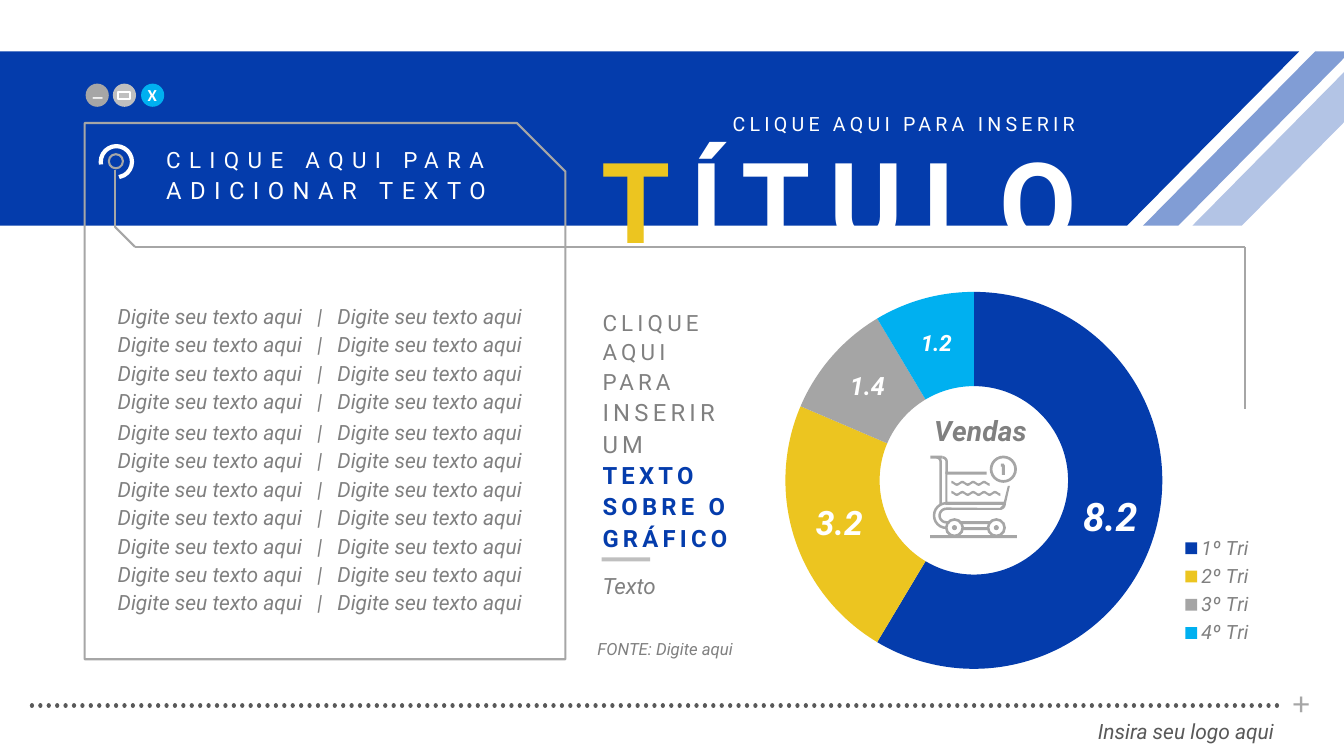
from dataclasses import dataclass, replace
from math import cos, pi, radians, sin

from lxml import etree
from pptx import Presentation
from pptx.chart.data import CategoryChartData
from pptx.dml.color import RGBColor
from pptx.enum.chart import XL_CHART_TYPE, XL_LEGEND_POSITION
from pptx.enum.dml import MSO_LINE
from pptx.enum.shapes import MSO_CONNECTOR, MSO_SHAPE
from pptx.enum.text import MSO_AUTO_SIZE, PP_ALIGN
from pptx.oxml.ns import qn
from pptx.util import Cm, Length, Pt

RECT, OVAL, DONUT = MSO_SHAPE.RECTANGLE, MSO_SHAPE.OVAL, MSO_SHAPE.DONUT
SLANT, ARC, SNIP = MSO_SHAPE.PARALLELOGRAM, MSO_SHAPE.ARC, MSO_SHAPE.SNIP_ROUND_RECTANGLE
STRAIGHT, DOTS = MSO_CONNECTOR.STRAIGHT, MSO_LINE.ROUND_DOT
LEFT, CENTER, RIGHT = PP_ALIGN.LEFT, PP_ALIGN.CENTER, PP_ALIGN.RIGHT

BLUE = RGBColor(0x04, 0x3C, 0xAC)
YELLOW = RGBColor(0xEC, 0xC5, 0x20)
CYAN = RGBColor(0x00, 0xB0, 0xF0)
WHITE = RGBColor(0xFF, 0xFF, 0xFF)
BLACK = RGBColor(0x00, 0x00, 0x00)
SILVER = RGBColor(0xBF, 0xBF, 0xBF)
GREY = RGBColor(0xA6, 0xA6, 0xA6)
SLICE_GREY = RGBColor(0xA5, 0xA5, 0xA5)
TEXT_GREY = RGBColor(0x80, 0x80, 0x80)
DARK = RGBColor(0x59, 0x59, 0x59)

Point = tuple[float, float]
Frame = tuple[float, float, float, float]


@dataclass(frozen=True)
class Style:
    size: float
    color: RGBColor
    bold: bool = False
    italic: bool = False
    tracking: int = 0
    face: str = "Roboto"


@dataclass(frozen=True)
class Span:
    text: str
    style: Style


@dataclass(frozen=True)
class Label:
    frame: Frame
    lines: list[list[Span]]
    align: PP_ALIGN = LEFT
    leading: float = 1.0
    gap: float = 0
    wrap: bool = True
    tabs: tuple[float, ...] = ()


@dataclass(frozen=True)
class Slice:
    name: str
    value: float
    color: RGBColor
    label_size: int


def inch(value: float) -> Length:
    return Cm(value * 2.54)


def apply_style(font, style: Style) -> None:
    font.name, font.size = style.face, Pt(style.size)
    font.bold, font.italic = style.bold, style.italic
    font.color.rgb = style.color
    if style.tracking:
        font._rPr.set("spc", str(style.tracking * 100))


def add_label(shapes, label: Label) -> None:
    box = shapes.add_textbox(*map(inch, label.frame))
    frame = box.text_frame
    frame.word_wrap = label.wrap
    frame.auto_size = MSO_AUTO_SIZE.SHAPE_TO_FIT_TEXT
    for index, spans in enumerate(label.lines):
        para = frame.add_paragraph() if index else frame.paragraphs[0]
        para.alignment, para.line_spacing = label.align, label.leading
        para.space_before = para.space_after = Pt(label.gap)
        if label.tabs:
            stops = etree.SubElement(para._p.get_or_add_pPr(), qn("a:tabLst"))
            for stop in label.tabs:
                etree.SubElement(stops, qn("a:tab"), pos=str(inch(stop)), algn="l")
        if len(spans) == 1:
            apply_style(para.font, spans[0].style)
        for span in spans:
            run = para.add_run()
            run.text = span.text.rstrip("\n")
            if len(spans) > 1:
                apply_style(run.font, span.style)
            if span.text.endswith("\n"):
                para.add_line_break()


def paint(shape, fill: RGBColor | None, line: RGBColor | None = None, width: float = 1.5):
    shape.shadow.inherit = False
    if fill is None:
        shape.fill.background()
    else:
        shape.fill.solid()
        shape.fill.fore_color.rgb = fill
    if line is None:
        shape.line.fill.background()
    else:
        shape.line.color.rgb, shape.line.width = line, Pt(width)
    return shape


def add_form(shapes, kind, frame: Frame, fill=None, line=None, width=1.5, adjust=()):
    shape = shapes.add_shape(kind, *map(inch, frame))
    for index, value in enumerate(adjust):
        shape.adjustments[index] = value
    return paint(shape, fill, line, width)


def add_outline(shapes, points: list[Point], fill: RGBColor) -> None:
    corners = [(inch(x), inch(y)) for x, y in points]
    builder = shapes.build_freeform(*corners[0])
    builder.add_line_segments(corners[1:], close=True)
    paint(builder.convert_to_shape(), fill)


def add_rule(shapes, start: Point, end: Point, color: RGBColor, width: float = 1.5):
    rule = shapes.add_connector(STRAIGHT, *map(inch, start + end))
    rule.line.color.rgb, rule.line.width = color, Pt(width)
    etree.SubElement(rule._element.spPr, qn("a:effectLst"))
    return rule


def bend(x: float, y: float, radius: float, start: int, end: int) -> list[Point]:
    angles = [radians(start + (end - start) * step / 12) for step in range(13)]
    return [(x + radius * cos(a), y + radius * sin(a)) for a in angles]


def wave(left: float, top: float, periods: float) -> list[Point]:
    steps = int(periods * 12)
    crest = [(left + 0.108 * i / 12, top + 0.0125 * (1 - cos(pi * i / 6)))
             for i in range(steps + 1)]
    return crest + [(x, y + 0.025) for x, y in reversed(crest)]


def place(part, index: int, **values) -> None:
    """Give a chart part a manual layout."""
    old = part.find(qn("c:layout"))
    if old is not None:
        part.remove(old)
    layout = etree.Element(qn("c:layout"))
    manual = etree.SubElement(layout, qn("c:manualLayout"))
    for key, value in values.items():
        etree.SubElement(manual, qn(f"c:{key}"), val=str(value))
    part.insert(index, layout)


def add_sales_chart(shapes) -> None:
    slices = [Slice("1º Tri", 8.2, BLUE, 28), Slice("2º Tri", 3.2, YELLOW, 24),
              Slice("3º Tri", 1.4, SLICE_GREY, 18), Slice("4º Tri", 1.2, CYAN, 16)]
    data = CategoryChartData()
    data.categories = [item.name for item in slices]
    data.add_series("Vendas", [item.value for item in slices])
    chart = shapes.add_chart(XL_CHART_TYPE.DOUGHNUT,
                             *map(inch, (7.03, 2.84, 6.08, 4)), data).chart
    apply_style(chart.font, Style(10, BLACK, face="Calibri"))
    plot = chart.plots[0]
    plot.vary_by_categories = True
    plot._element.find(qn("c:holeSize")).set("val", "60")
    series = plot.series[0]
    series.data_labels.show_value = True
    for index, item in enumerate(slices):
        point = series.points[index]
        point.format.fill.solid()
        point.format.fill.fore_color.rgb = item.color
        point.format.line.fill.background()
        apply_style(point.data_label.font, Style(item.label_size, WHITE, True, True))
    place(plot._element.getparent(), 0, layoutTarget="inner", xMode="edge", yMode="edge",
          x=0.033, y=0.014, w=0.8, h=0.935)
    chart.has_title = True
    title = chart.chart_title
    title.text_frame.text = "Vendas"
    apply_style(title.text_frame.paragraphs[0].runs[0].font, Style(20, TEXT_GREY, True, True))
    title._element.find(qn("c:overlay")).set("val", "1")
    place(title._element, 1, xMode="edge", yMode="edge", x=0.36, y=0.3)
    chart.has_legend = True
    legend = chart.legend
    legend.position, legend.include_in_layout = XL_LEGEND_POSITION.RIGHT, False
    apply_style(legend.font, Style(14, TEXT_GREY, italic=True))
    place(legend._element, 1, xMode="edge", yMode="edge", x=0.76, y=0.61, w=0.14, h=0.29)


def add_cart(shapes) -> None:
    for bar in [(9.52, 5.17, 0.31, 0.03), (9.55, 5.23, 0.26, 0.03),
                (9.23, 4.52, 0.12, 0.03), (9.23, 5.31, 0.86, 0.03)]:
        add_form(shapes, RECT, bar, GREY)
    for x in (9.47, 9.885):  # wheels and hubs
        add_form(shapes, DONUT, (x - 0.095, 5.14, 0.19, 0.19), GREY, adjust=(0.14,))
        add_form(shapes, OVAL, (x - 0.025, 5.21, 0.05, 0.05), GREY)
    add_form(shapes, DONUT, (9.82, 4.52, 0.27, 0.27), GREY, adjust=(0.1,))
    basket = [(9.97, 5.01), (9.38, 5.01), (9.38, 4.68), (9.79, 4.68), (9.79, 4.71), (9.4, 4.71),
              (9.4, 4.98), (9.96, 4.98), (10, 4.82), (10.02, 4.82), (9.98, 5)]
    numeral = [(9.97, 4.71), (9.94, 4.71), (9.94, 4.63), (9.93, 4.63), (9.93, 4.6),
               (9.96, 4.6), (9.97, 4.62)]
    hub = (9.39, 5.115)
    chassis = (bend(*hub, 0.135, 90, 270) + [(9.97, 4.98)] + bend(9.92, 5, 0.06, 0, 90)
               + bend(*hub, 0.055, 270, 90) + [(9.42, 5.17), (9.42, 5.2)]
               + bend(*hub, 0.08, 90, 270) + [(9.92, 5.04), (9.95, 5.01)]
               + bend(*hub, 0.11, 270, 90))
    posts = [bend(x, 4.58, 0.055, -90, 0) + [(x + 0.055, foot), (x + 0.03, foot)]
             + bend(x, 4.58, 0.03, 0, -90) for x, foot in ((9.29, 5.01), (9.35, 4.7))]
    for outline in [basket, numeral, chassis, *posts, wave(9.44, 4.77, 3.5), wave(9.44, 4.87, 4.5)]:
        add_outline(shapes, outline, GREY)


def add_header(shapes) -> None:
    # Slanted bands
    for left, width, opacity in ((-2, 14.89, 100), (11.34, 2.06, 50), (11.83, 2.2, 30)):
        band = add_form(shapes, SLANT, (left, 0.51, width, 1.73), BLUE, adjust=(0.988,))
        if opacity < 100:
            tint = band._element.spPr.find(qn("a:solidFill"))[0]
            etree.SubElement(tint, qn("a:alpha"), val=str(opacity * 1000))
    # Guide line, pin and panel frame
    route = [(1.14, 1.69), (1.14, 2.25), (1.34, 2.45), (12.35, 2.45), (12.35, 4.06)]
    for start, end in zip(route, route[1:]):
        add_rule(shapes, start, end, GREY)
    add_form(shapes, OVAL, (1.08, 1.53, 0.14, 0.14), None, GREY)
    add_form(shapes, ARC, (1, 1.45, 0.31, 0.31), None, WHITE, 3, (170 * 0.6, 80 * 0.6))
    add_form(shapes, SNIP, (0.84, 1.22, 4.77, 5.32), None, GREY, adjust=(0, 0.101))
    # Window buttons
    for left, color in ((0.85, GREY), (1.12, SILVER), (1.4, CYAN)):
        add_form(shapes, OVAL, (left, 0.83, 0.23, 0.23), color)
    add_form(shapes, RECT, (1.17, 0.91, 0.12, 0.07), None, WHITE)


def main() -> None:
    deck = Presentation()
    deck.slide_width, deck.slide_height = Cm(33.87), Cm(19.05)
    page = deck.slides.add_slide(deck.slide_layouts[6])
    shapes = page.shapes
    add_sales_chart(shapes)
    add_header(shapes)
    add_cart(shapes.add_group_shape().shapes)
    add_form(shapes, RECT, (5.97, 5.53, 0.48, 0.04), SILVER)
    dots = add_rule(shapes, (12.67, 7), (0.3, 7), DARK, 3)
    dots.line.dash_style = DOTS
    dots._element.spPr.find(qn("a:ln")).set("cap", "rnd")

    # Texts
    sign = Style(12, WHITE, True, face="Calibri")
    body = Style(15, TEXT_GREY, italic=True)
    title = Style(80, YELLOW, True, tracking=14)
    heading = Style(16, WHITE, tracking=6)
    intro = Style(16, TEXT_GREY, tracking=3)
    row = [Span("Digite seu texto aqui\t|\tDigite seu texto aqui", body)]
    labels = [Label((1.07, top, 4.34, height), [row] * count, leading=0.9, gap=2, tabs=(1.98, 2.18))
              for top, height, count in ((2.99, 1.18, 4), (4.14, 1.18, 4), (5.27, 0.89, 3))]
    labels += [
        Label((1.34, 0.79, 0.34, 0.3), [[Span("X", sign)]], CENTER),
        Label((0.8, 0.71, 0.34, 0.34), [[Span("_", replace(sign, size=14))]], CENTER),
        Label((5.87, 0.99, 5.26, 1.72),
              [[Span("T", title), Span("ÍTULO", replace(title, color=WHITE))]],
              leading=1.2, wrap=False),
        Label((1.55, 1.37, 3.62, 0.71),
              [[Span("CLIQUE AQUI PARA \n", heading),
                Span("ADICIONAR TEXTO", replace(heading, size=17))]], leading=1.1),
        Label((7.17, 1.04, 3.62, 0.36),
              [[Span("CLIQUE AQUI PARA INSERIR", Style(14, WHITE, tracking=3))]], leading=1.1),
        Label((5.88, 2.99, 1.62, 2.56),
              [[Span("CLIQUE AQUI PARA \n", intro), Span("INSERIR UM ", replace(intro, size=17)),
                Span("TEXTO SOBRE O GRÁFICO", Style(17, BLUE, True, tracking=3))]], leading=1.1),
        Label((5.88, 5.66, 1.62, 0.34), [[Span("Texto", replace(body, size=16))]], leading=0.9),
        Label((5.83, 6.31, 3.04, 0.28), [[Span("FONTE: Digite aqui", replace(body, size=12))]],
              leading=0.9, gap=2),
        Label((10.64, 7.11, 2.1, 0.33), [[Span("Insira seu logo aqui", replace(body, color=DARK))]],
              RIGHT, 0.9),
        Label((12.59, 6.72, 0.64, 0.5), [[Span("+", Style(24, GREY, face="Calibri"))]], CENTER),
    ]
    for label in labels:
        add_label(shapes, label)
    deck.save("out.pptx")


if __name__ == "__main__":
    main()
